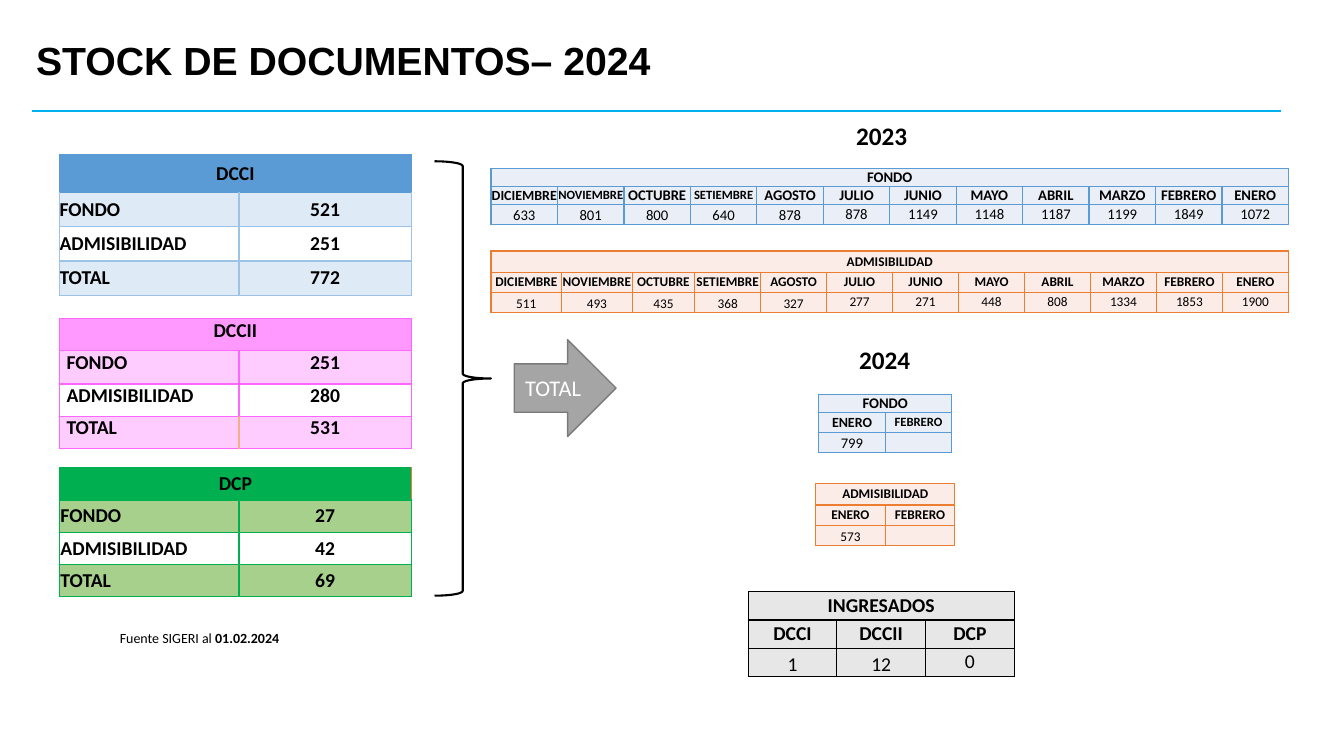
"""Builds the 2024 document stock slide with its monthly summary tables."""
from dataclasses import dataclass, field

from lxml import etree
from pptx import Presentation
from pptx.dml.color import RGBColor
from pptx.enum.shapes import MSO_CONNECTOR, MSO_SHAPE
from pptx.enum.text import MSO_ANCHOR, PP_ALIGN
from pptx.oxml.ns import qn
from pptx.util import Inches, Pt

LEFT, CENTER = PP_ALIGN.LEFT, PP_ALIGN.CENTER
TOP, MIDDLE, BOTTOM = MSO_ANCHOR.TOP, MSO_ANCHOR.MIDDLE, MSO_ANCHOR.BOTTOM
EDGES = ("L", "R", "T", "B")


class Theme:
    """Colours, fonts and type sizes."""
    heading_font, body_font = "Arial", "Calibri"
    title, year, arrow, stock, fondo, admission, source = 28, 18, 16, 14, 10.5, 9.5, 10
    month, tight_month = 10, 9
    black, white, rule = "000000", "FFFFFF", "00B0F0"
    arrow_fill, arrow_line = "A5A5A5", "7A7A7A"
    blue, blue_line, blue_tint, blue_pale = "5B9BD5", "9CC2E5", "DEEAF6", "EAEFF7"
    pink, pink_line, pink_tint = "FF99FF", "FF66FF", "FFCCFF"
    green, green_tint = "00B050", "A8D08D"
    orange, orange_line, orange_pale = "ED7D31", "F4B083", "FCECE8"
    gray = "E7E7E7"


@dataclass
class Grid:
    """One table: its content, place and look."""
    header: str
    body: list
    origin: tuple
    widths: list
    heights: list
    size: float
    fills: list
    line: str
    header_line: str = ""
    labelled: bool = False
    bold_rows: int = 2
    low_values: int = 0
    anchor: int = MIDDLE
    inset: float = 0
    sizes: dict = field(default_factory=dict)
    edges: dict = field(default_factory=dict)


MONTHS = ["DICIEMBRE", "NOVIEMBRE", "OCTUBRE", "SETIEMBRE", "AGOSTO", "JULIO",
          "JUNIO", "MAYO", "ABRIL", "MARZO", "FEBRERO", "ENERO"]
FONDO_2023 = [633, 801, 800, 640, 878, 878, 1149, 1148, 1187, 1199, 1849, 1072]
ADMISSION_2023 = [511, 493, 435, 368, 327, 277, 271, 448, 808, 1334, 1853, 1900]
MONTHS_2024 = ["ENERO", "FEBRERO"]
STOCK_LABELS = ["FONDO", "ADMISIBILIDAD", "TOTAL"]
STOCK = {"DCCI": [521, 251, 772], "DCCII": [251, 280, 531], "DCP": [27, 42, 69]}
YEARS = [("2023", 7.95, 1.14), ("2024", 7.98, 3.37)]

YEAR_WIDTH = 7.91
EVEN_WIDTHS = [YEAR_WIDTH / len(MONTHS)] * len(MONTHS)
FIRST_WIDTHS = [0.7, 0.7, 0.62]
REST = len(MONTHS) - len(FIRST_WIDTHS)
ADMISSION_WIDTHS = FIRST_WIDTHS + [(YEAR_WIDTH - sum(FIRST_WIDTHS)) / REST] * REST
ADMISSION_HEIGHTS = [0.21, 0.2, 0.2]


def stock_grid(name, top, heights, header_fill, tint, line, **look):
    body = list(zip(STOCK_LABELS, STOCK[name]))
    return Grid(name, body, (0.59, top), [1.78, 1.71], heights, Theme.stock,
                [header_fill, tint, None, tint], line, labelled=True,
                bold_rows=4, **look)


def fondo_grid(body, origin, widths, heights, **look):
    return Grid("FONDO", body, origin, widths, heights, Theme.fondo,
                [Theme.blue_pale] * 3, Theme.blue, **look)


def admission_grid(body, origin, widths, **look):
    return Grid("ADMISIBILIDAD", body, origin, widths, ADMISSION_HEIGHTS, Theme.admission,
                [Theme.orange_pale] * 3, Theme.orange, **look)


GRIDS = [
    stock_grid("DCCI", 1.53, [0.38, 0.34, 0.34, 0.34], Theme.blue, Theme.blue_tint,
               Theme.blue_line, header_line=Theme.blue),
    stock_grid("DCCII", 3.16, [0.32, 0.33, 0.32, 0.32], Theme.pink, Theme.pink_tint,
               Theme.pink_line, anchor=TOP, inset=0.07,
               edges={(3, 0, "R"): Theme.orange_line, (3, 1, "L"): Theme.orange_line}),
    stock_grid("DCP", 4.64, [0.32] * 4, Theme.green, Theme.green_tint, Theme.green,
               inset=0.01, edges={(0, 0, "R"): Theme.orange, (0, 1, "R"): Theme.orange}),
    Grid("INGRESADOS", [list(STOCK), [1, 12, 0]], (7.42, 5.87), [0.88] * 3, [0.28] * 3,
         Theme.stock, [Theme.gray] * 3, Theme.black, low_values=2),
    fondo_grid([MONTHS, FONDO_2023], (4.87, 1.67), EVEN_WIDTHS, [0.18, 0.18, 0.2],
               low_values=5, sizes={(1, 0): Theme.month, (1, 1): Theme.tight_month,
                                    (1, 3): Theme.tight_month}),
    admission_grid([MONTHS, ADMISSION_2023], (4.87, 2.49), ADMISSION_WIDTHS, low_values=5),
    fondo_grid([MONTHS_2024, [799, ""]], (8.12, 3.91), [0.66] * 2, [0.18, 0.2, 0.2],
               low_values=1, sizes={(1, 0): Theme.month, (1, 1): Theme.tight_month}),
    admission_grid([MONTHS_2024, [573, ""]], (8.09, 4.8), [0.69] * 2, low_values=1),
]


def rgb(value):
    return RGBColor.from_string(value)


def add_run(paragraph, text, size, bold=False, color=Theme.black, font=Theme.body_font):
    run = paragraph.add_run()
    run.text = text
    run.font.name, run.font.size, run.font.bold = font, Pt(size), bold
    run.font.color.rgb = rgb(color)


def add_text(slide, box, runs, align=LEFT, anchor=TOP):
    area = slide.shapes.add_textbox(*map(Inches, box))
    frame = area.text_frame
    frame.word_wrap, frame.vertical_anchor = True, anchor
    paragraph = frame.paragraphs[0]
    paragraph.alignment = align
    for text, look in runs:
        add_run(paragraph, text, **look)
    return area


def add_border(cell, edge, color):
    line = etree.Element(qn("a:ln" + edge), w=str(Pt(1)))
    solid = etree.SubElement(line, qn("a:solidFill"))
    etree.SubElement(solid, qn("a:srgbClr"), val=color)
    cell._tc.get_or_add_tcPr().insert(EDGES.index(edge), line)


def fill_cell(cell, grid, row, col, text):
    cell.margin_left = cell.margin_right = Inches(grid.inset)
    cell.margin_top = cell.margin_bottom = 0
    is_low = row == 2 and col < grid.low_values
    cell.vertical_anchor = BOTTOM if is_low else grid.anchor
    if grid.fills[row]:
        cell.fill.solid()
        cell.fill.fore_color.rgb = rgb(grid.fills[row])
    else:
        cell.fill.background()
    for edge in EDGES:
        on_header = row == 0 or (row == 1 and edge == "T")
        line = grid.header_line if on_header and grid.header_line else grid.line
        add_border(cell, edge, grid.edges.get((row, col, edge), line))
    paragraph = cell.text_frame.paragraphs[0]
    paragraph.alignment = LEFT if grid.labelled and row and not col else CENTER
    size = grid.sizes.get((row, col), grid.size)
    if text == "":
        etree.SubElement(paragraph._p, qn("a:endParaRPr"), sz=str(int(size * 100)))
    else:
        add_run(paragraph, str(text), size, row < grid.bold_rows)


def add_grid(slide, grid):
    columns = len(grid.widths)
    rows = [[grid.header] + [""] * (columns - 1), *grid.body]
    extent = (sum(grid.widths), sum(grid.heights))
    table = slide.shapes.add_table(len(rows), columns,
                                   *map(Inches, grid.origin + extent)).table
    table.first_row = table.horz_banding = False
    for column, width in zip(table.columns, grid.widths):
        column.width = Inches(width)
    for table_row, height in zip(table.rows, grid.heights):
        table_row.height = Inches(height)
    table.cell(0, 0).merge(table.cell(0, columns - 1))
    for row, values in enumerate(rows):
        for col, text in enumerate(values):
            fill_cell(table.cell(row, col), grid, row, col, text)


def add_outline(slide, kind, box, color, weight):
    shape = slide.shapes.add_shape(kind, *map(Inches, box))
    shape.shadow.inherit = False
    shape.fill.background()
    shape.line.color.rgb, shape.line.width = rgb(color), Pt(weight)
    return shape


def main():
    deck = Presentation()
    deck.slide_width, deck.slide_height = Inches(13.33), Inches(7.5)
    slide = deck.slides.add_slide(deck.slide_layouts[6])

    rule = slide.shapes.add_connector(MSO_CONNECTOR.STRAIGHT, *map(Inches, (0.32, 1.1, 12.71, 1.1)))
    rule.line.color.rgb, rule.line.width = rgb(Theme.rule), Pt(1.5)
    etree.SubElement(rule._element.spPr, qn("a:effectLst"))
    title_look = dict(size=Theme.title, bold=True, font=Theme.heading_font)
    title = add_text(slide, (0.26, 0.27, 11.5, 0.7),
                     [("STOCK DE DOCUMENTOS– 2024", title_look)], anchor=MIDDLE)
    title.text_frame.paragraphs[0].line_spacing = 0.9

    total = add_outline(slide, MSO_SHAPE.RIGHT_ARROW, (5.1, 3.37, 1.01, 0.96),
                        Theme.arrow_line, 1)
    total.fill.solid()
    total.fill.fore_color.rgb = rgb(Theme.arrow_fill)
    total.text_frame.vertical_anchor = MIDDLE
    total_label = total.text_frame.paragraphs[0]
    total_label.alignment = CENTER
    add_run(total_label, "TOTAL", Theme.arrow, color=Theme.white)

    source = add_text(slide, (1.09, 6.2, 3.49, 0.47),
                      [("Fuente SIGERI al ", dict(size=Theme.source)),
                       ("01.02.2024", dict(size=Theme.source, bold=True))])
    source.fill.solid()
    source.fill.fore_color.rgb = rgb(Theme.white)
    for year, left, top in YEARS:
        add_text(slide, (left, top, 1.59, 0.4),
                 [(year, dict(size=Theme.year, bold=True))], CENTER)
    add_outline(slide, MSO_SHAPE.RIGHT_BRACE, (4.31, 1.6, 0.56, 4.31), Theme.black, 1.5)
    for grid in GRIDS:
        add_grid(slide, grid)
    deck.save("out.pptx")


if __name__ == "__main__":
    main()
